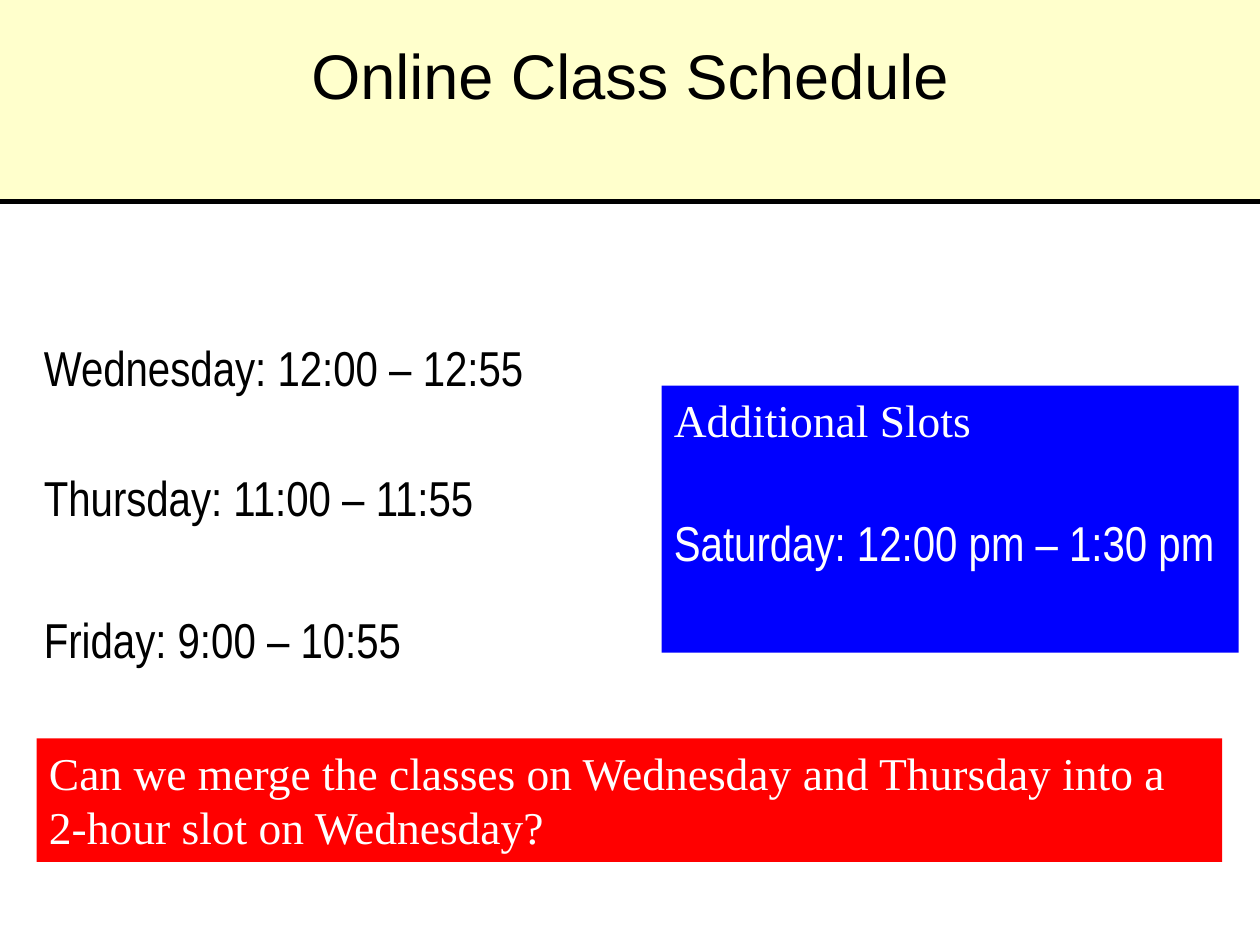
from dataclasses import dataclass
from typing import Optional

from lxml import etree
from pptx import Presentation
from pptx.dml.color import RGBColor
from pptx.enum import shapes, text
from pptx.oxml.ns import qn
from pptx.util import Inches, Pt

BLACK = RGBColor(0x00, 0x00, 0x00)
WHITE = RGBColor(0xFF, 0xFF, 0xFF)
CREAM = RGBColor(0xFF, 0xFF, 0xCC)
BLUE = RGBColor(0x00, 0x00, 0xFF)
RED = RGBColor(0xFF, 0x00, 0x00)

TITLE_FONT = {"name": "Arial", "size": Pt(36), "color": BLACK}
NOTE_FONT = {"name": "Times New Roman", "size": Pt(26), "color": WHITE}
SLOT_FONT = {"name": "Arial Narrow", "size": Pt(28), "color": BLACK}


@dataclass
class Line:
    wording: str
    font: dict
    space_before: float = 0


@dataclass
class Panel:
    left: float
    top: float
    width: float
    height: float
    lines: list[Line]
    fill: Optional[RGBColor] = None
    anchor: text.MSO_ANCHOR = text.MSO_ANCHOR.TOP


PANELS = [
    Panel(0.25, 2.2, 5, 3.15, [
        Line("Wednesday: 12:00 – 12:55", SLOT_FONT),
        Line("Thursday: 11:00 – 11:55", SLOT_FONT, 41),
        Line("Friday: 9:00 – 10:55", SLOT_FONT, 47),
    ], anchor=text.MSO_ANCHOR.BOTTOM),
    Panel(5.25, 3.06, 4.58, 2.12, [
        Line("Additional Slots", NOTE_FONT),
        Line("Saturday: 12:00 pm – 1:30 pm", SLOT_FONT | {"color": WHITE}, 38),
    ], BLUE),
    Panel(0.29, 5.86, 9.41, 0.98, [
        Line("Can we merge the classes on Wednesday and Thursday into a "
             "2-hour slot on Wednesday?", NOTE_FONT),
    ], RED),
]


def format_font(font, values: dict) -> None:
    for name, value in values.items():
        if name == "color":
            font.color.rgb = value
        else:
            setattr(font, name, value)


def write_lines(frame, lines: list[Line], alignment) -> None:
    for index, line in enumerate(lines):
        paragraph = frame.add_paragraph() if index else frame.paragraphs[0]
        paragraph.alignment = alignment
        paragraph.space_before = Pt(line.space_before)
        run = paragraph.add_run()
        run.text = line.wording
        format_font(run.font, line.font)


def set_frame(frame, anchor, bottom: float = 0.05) -> None:
    settings = {
        "word_wrap": True,
        "auto_size": text.MSO_AUTO_SIZE.NONE,
        "vertical_anchor": anchor,
        "margin_bottom": Inches(bottom),
    }
    for name, value in settings.items():
        setattr(frame, name, value)


def add_title(slide) -> None:
    title = slide.shapes.title
    title.left, title.top = Inches(0), Inches(0)
    title.width, title.height = Inches(10), Inches(1.58)
    title.fill.solid()
    title.fill.fore_color.rgb = CREAM
    set_frame(title.text_frame, text.MSO_ANCHOR.MIDDLE, bottom=0.45)
    write_lines(title.text_frame, [Line("Online Class Schedule", TITLE_FONT)],
                text.PP_ALIGN.CENTER)


def add_title_rule(slide) -> None:
    rule = slide.shapes.add_connector(
        shapes.MSO_CONNECTOR.STRAIGHT,
        Inches(0), Inches(1.6), Inches(10), Inches(1.6))
    rule.line.color.rgb = BLACK
    rule.line.width = Pt(3)
    etree.SubElement(rule.element.spPr, qn("a:effectLst"))


def add_panel(slide, panel: Panel) -> None:
    box = [Inches(value) for value in
           (panel.left, panel.top, panel.width, panel.height)]
    if panel.fill is None:
        shape = slide.shapes.add_textbox(*box)
    else:
        shape = slide.shapes.add_shape(shapes.MSO_SHAPE.RECTANGLE, *box)
        shape.shadow.inherit = False
        shape.fill.solid()
        shape.fill.fore_color.rgb = panel.fill
        shape.line.fill.background()
    set_frame(shape.text_frame, panel.anchor)
    write_lines(shape.text_frame, panel.lines, text.PP_ALIGN.LEFT)


def main() -> None:
    presentation = Presentation()
    presentation.slide_width = Inches(10)
    presentation.slide_height = Inches(7.5)
    slide = presentation.slides.add_slide(
        presentation.slide_layouts.get_by_name("Title Only"))
    add_title(slide)
    add_title_rule(slide)
    for panel in PANELS:
        add_panel(slide, panel)
    presentation.save("out.pptx")


if __name__ == "__main__":
    main()
